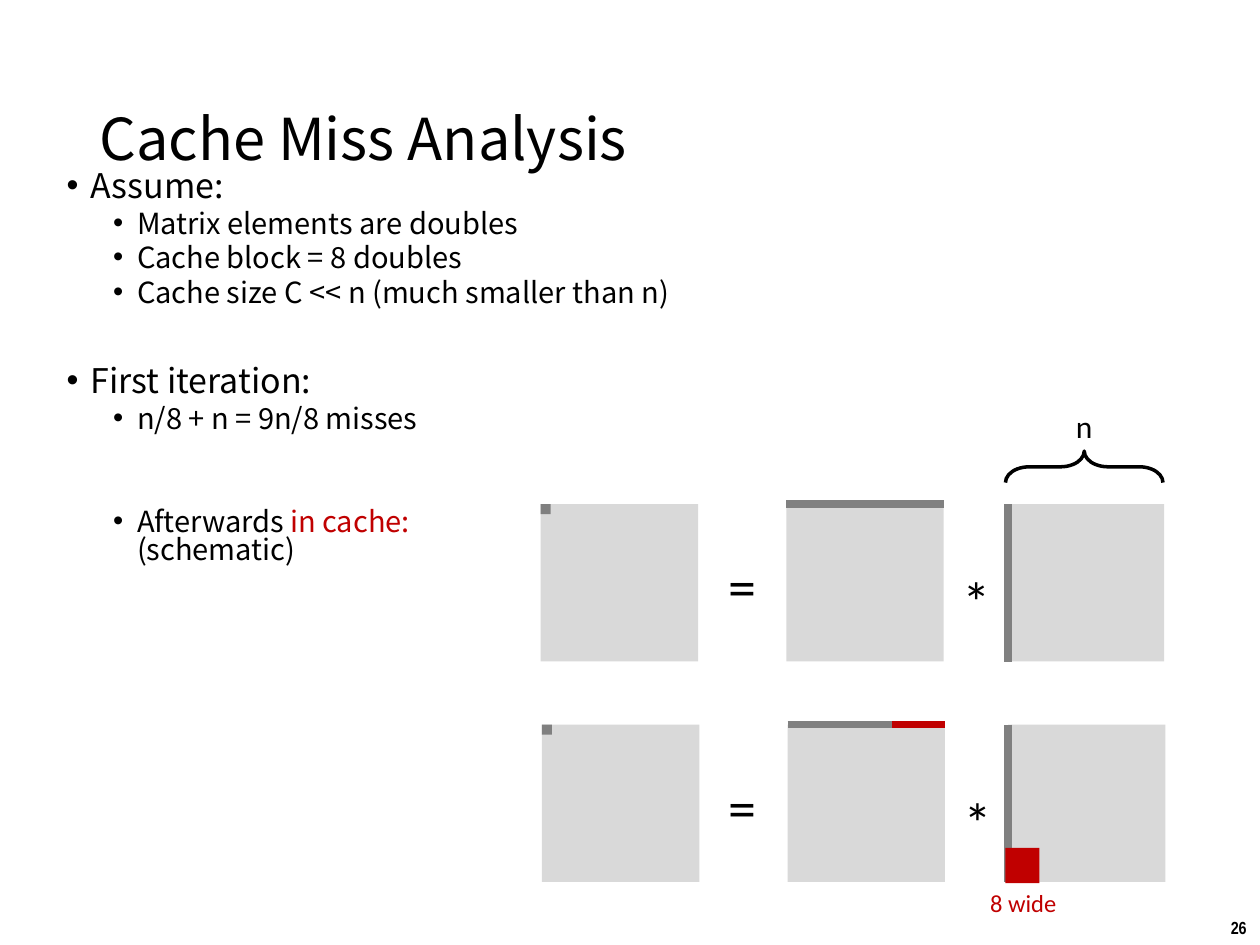
from copy import deepcopy

from lxml import etree
from pptx import Presentation
from pptx import util as u
from pptx.dml.color import RGBColor
from pptx.enum import shapes, text
from pptx.oxml.ns import qn

THEME = {
    "ink": "000000", "matrix": "D9D9D9", "touched": "808080", "cached": "C00000",
    "heading": "Noto Sans CJK SC", "label": "Calibri", "number": "Arial Narrow",
    "title_pt": 33, "level_pt": (19.4, 16.6), "operator_pt": 32,
    "n_pt": 18, "width_pt": 14, "number_pt": 10, "strip_pt": 4.5, "brace_pt": 2,
}
TITLE = "Cache Miss Analysis"
# level, space before in points, runs of (text, colour)
BULLETS = [
    (0, 0, [("Assume:", "ink")]),
    (1, 3.8, [("Matrix elements are doubles", "ink")]),
    (1, 3.8, [("Cache block = 8 doubles", "ink")]),
    (1, 3.8, [("Cache size C << n (much smaller than n)", "ink")]),
    (0, 33.7, [("First iteration:", "ink")]),
    (1, 3.8, [("n/8 + n = 9n/8 misses", "ink")]),
    (1, 43.2, [("Afterwards ", "ink"), ("in cache:\n", "cached"), ("(schematic)", "ink")]),
]
LEVEL_INDENT = (0.19, 0.56)
HANGING = 0.19
MATRIX_LEFTS = (4.29, 6.24, 7.99)
SIDE, CELL = 1.25, 0.08
COLUMN_X = 8
ROWS = [(0, 4), (0.01, 5.75)]  # shift right, top

prs = Presentation()
prs.slide_width, prs.slide_height = u.Inches(10), u.Inches(7.5)
slide = prs.slides.add_slide(prs.slide_layouts[6])


def colour(name):
    return RGBColor.from_string(THEME[name])


def inches(*lengths):
    return [u.Inches(length) for length in lengths]


def add_runs(paragraph, runs, size, font, bold=False):
    """Add (text, colour) runs; a newline at the end of one breaks the line."""
    for content, ink in runs:
        run = paragraph.add_run()
        run.text = content.rstrip("\n")
        run.font.size, run.font.name, run.font.bold = u.Pt(size), THEME[font], bold
        run.font.color.rgb = colour(ink)
        if content.endswith("\n"):
            paragraph.add_line_break()
            paragraph._p[-1].append(deepcopy(run._r.find(qn("a:rPr"))))


def add_text(content, box, *, size, font="label", ink="ink", bold=False,
             wrap=False, anchor=text.MSO_ANCHOR.TOP, spacing=None):
    frame = slide.shapes.add_textbox(*inches(*box)).text_frame
    frame.word_wrap, frame.vertical_anchor = wrap, anchor
    paragraph = frame.paragraphs[0]
    paragraph.line_spacing = spacing
    if content:
        add_runs(paragraph, [(content, ink)], THEME[size], font, bold)
    return frame


def add_bullets(frame, bullets):
    for index, (level, before, runs) in enumerate(bullets):
        paragraph = frame.add_paragraph() if index else frame.paragraphs[0]
        paragraph.level = level
        paragraph.line_spacing, paragraph.space_before = 0.8, u.Pt(before)
        props = paragraph._p.get_or_add_pPr()
        props.set("marL", str(u.Inches(LEVEL_INDENT[level])))
        props.set("indent", str(u.Inches(-HANGING)))
        etree.SubElement(props, qn("a:buFont"), typeface="Arial")
        etree.SubElement(props, qn("a:buChar"), char="•")
        add_runs(paragraph, runs, THEME["level_pt"][level], "heading")


def add_block(left, top, width, height, fill):
    block = slide.shapes.add_shape(shapes.MSO_SHAPE.RECTANGLE,
                                   *inches(left, top, width, height))
    block.shadow.inherit = False
    block.fill.solid()
    block.fill.fore_color.rgb = colour(fill)
    block.line.fill.background()


def add_strip(x1, y1, x2, y2, ink):
    strip = slide.shapes.add_connector(shapes.MSO_CONNECTOR.STRAIGHT,
                                       *inches(x1, y1, x2, y2))
    strip.line.color.rgb, strip.line.width = colour(ink), u.Pt(THEME["strip_pt"])
    etree.SubElement(strip._element.spPr, qn("a:effectLst"))


def add_product(shift, top):
    """Draw result = row matrix * column matrix, with the parts in use marked."""
    result, row, column = (left + shift for left in MATRIX_LEFTS)
    for left in (result, row, column):
        add_block(left, top, SIDE, SIDE, "matrix")
    add_strip(row, top, row + SIDE, top, "touched")
    add_strip(COLUMN_X, top, COLUMN_X, top + SIDE, "touched")
    add_block(result, top, CELL, CELL, "touched")
    add_text("=", (5.68, top + 0.33, 0.43, 0.64), size="operator_pt")
    add_text("*", (7.54 + shift, top + 0.45, 0.43, 0.64), size="operator_pt")


def add_brace(left, top, width, height):
    brace = slide.shapes.add_shape(shapes.MSO_SHAPE.LEFT_BRACE,
                                   *inches(left, top, width, height))
    brace.shadow.inherit = False
    brace.rotation = 90
    brace.adjustments[0], brace.adjustments[1] = 0.75, 0.5
    brace.fill.background()
    brace.line.color.rgb, brace.line.width = colour("ink"), u.Pt(THEME["brace_pt"])


add_text("26", (9.67, 7.23, 0.34, 0.27), size="number_pt", font="number", bold=True)
add_text(TITLE, (0.69, 0.4, 8.62, 1.45), size="title_pt", font="heading",
         wrap=True, anchor=text.MSO_ANCHOR.MIDDLE, spacing=0.9)
add_bullets(add_text("", (0.43, 1.32, 8.64, 3.34), size="n_pt", wrap=True), BULLETS)

for shift, top in ROWS:
    add_product(shift, top)

add_brace(8.48, 3.08, 0.25, SIDE)
add_text("n", (8.44, 3.18, 0.34, 0.4), size="n_pt")

cached_top = ROWS[1][1]
add_strip(7.08, cached_top, 7.5, cached_top, "cached")
add_block(7.98, 6.73, 0.27, 0.28, "cached")
add_text("8 wide", (7.76, 7, 0.74, 0.34), size="width_pt", ink="cached")

prs.save("out.pptx")
